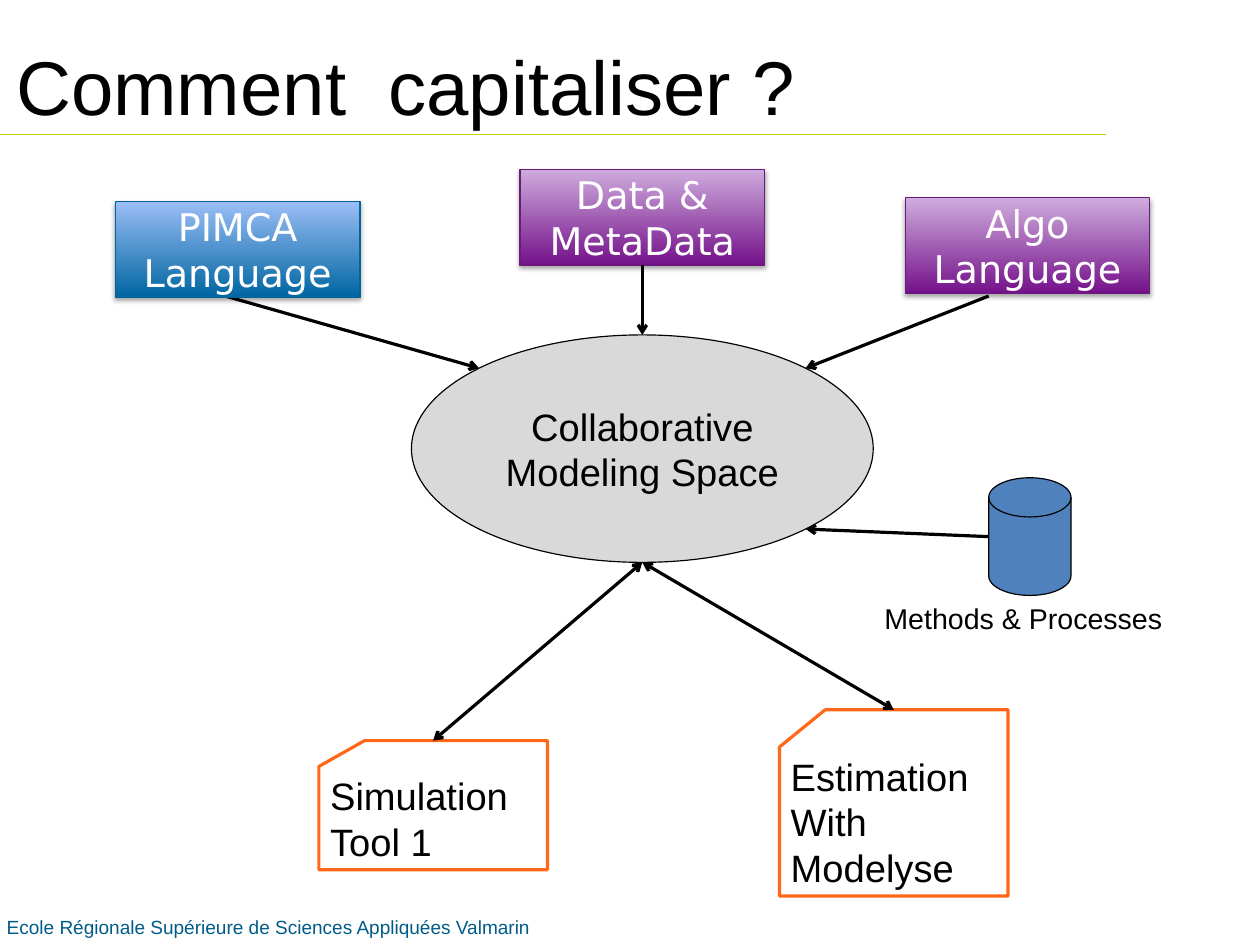
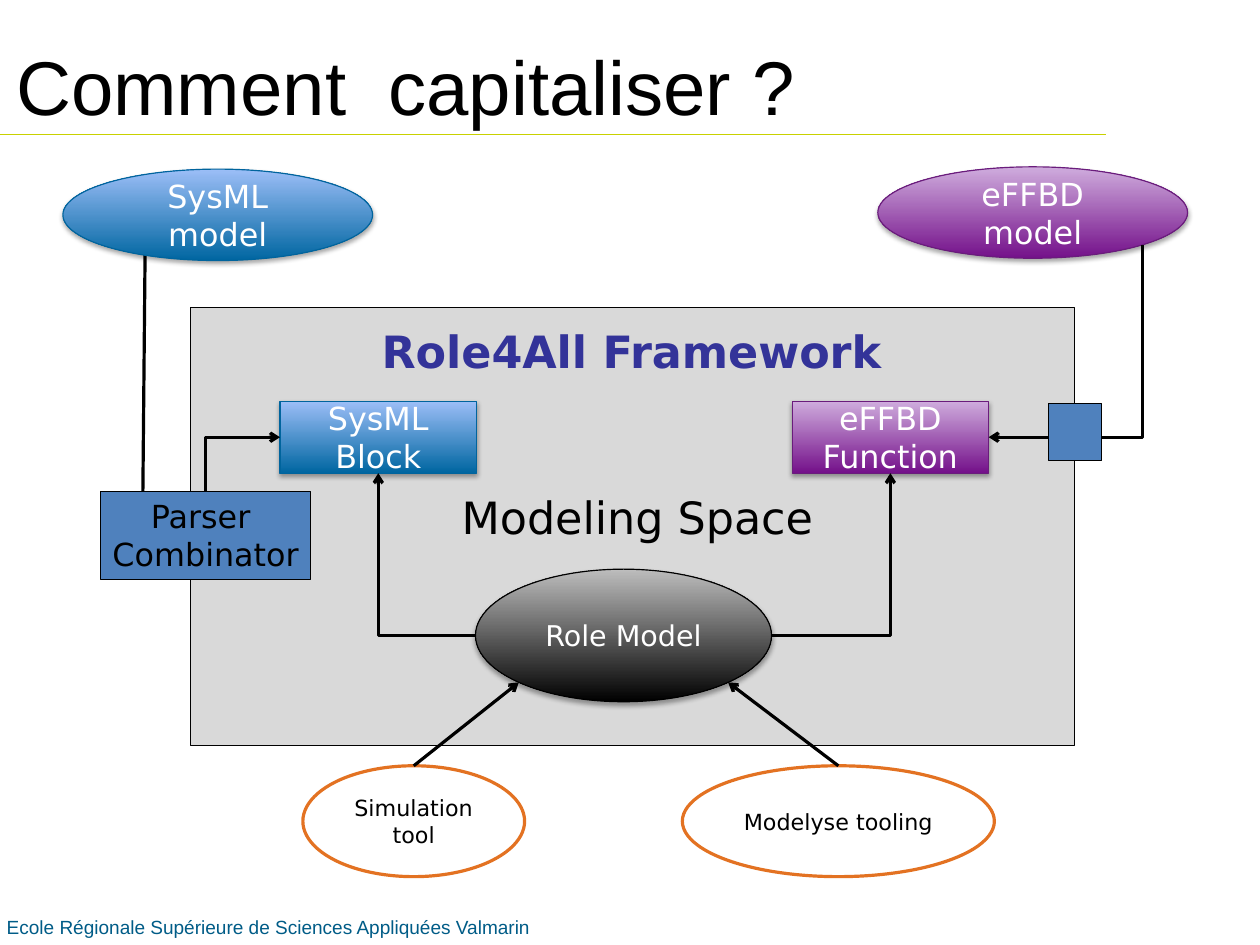
from lxml import etree
from pptx import Presentation
from pptx.dml.color import RGBColor
from pptx.enum.shapes import MSO_CONNECTOR, MSO_SHAPE
from pptx.enum.text import MSO_ANCHOR, MSO_AUTO_SIZE, PP_ALIGN
from pptx.oxml.ns import qn
from pptx.util import Cm, Emu, Pt

RECT, OVAL = MSO_SHAPE.RECTANGLE, MSO_SHAPE.OVAL
CARD, DISK = MSO_SHAPE.FLOWCHART_CARD, MSO_SHAPE.FLOWCHART_MAGNETIC_DISK
STRAIGHT, ELBOW = MSO_CONNECTOR.STRAIGHT, MSO_CONNECTOR.ELBOW
LEFT, CENTER = PP_ALIGN.LEFT, PP_ALIGN.CENTER
TOP, MIDDLE = MSO_ANCHOR.TOP, MSO_ANCHOR.MIDDLE
NO_RESIZE = MSO_AUTO_SIZE.NONE

PAGE_WIDTH, PAGE_HEIGHT = Cm(28), Cm(21)
PX = 9144  # 100 px to the inch
ARIAL, DEJAVU = "Arial", "DejaVu Sans"
BLACK, WHITE = "000000", "FFFFFF"

# Shared content
TITLE = "Comment  capitaliser ?"
TITLE_BOX = (4, 5, 992, 138)
FOOTER = "Ecole Régionale Supérieure de Sciences Appliquées Valmarin"
FOOTER_BOX = (-4, 796, 1102, 34)
RULE = ((0, 118), (968, 118), "C8D100")

# Looks: fill (None, one colour, or bottom and top colours), line, line width
LOOKS = {
    "blue": (("0066A1", "9CBEF7"), "00649D", 0.75),
    "purple": (("74118A", "CFACDD"), "6A1C7C", 0.75),
    "black": ((BLACK, "BDBDBD"), BLACK, 0.75),
    "grey": ("D9D9D9", BLACK, 0.75),
    "steel": ("4F81BD", BLACK, 0.75),
    "card": (None, "FF6819", 2),
    "tool": (WHITE, "E37222", 2),
}

# Connection sites as fractions of width and height, in preset order
DIAG = 0.1464
RECT_SITES = [(0.5, 0), (0, 0.5), (0.5, 1), (1, 0.5)]
SITES = {
    RECT: RECT_SITES,
    CARD: RECT_SITES,
    OVAL: [(0.5, 0), (DIAG, DIAG), (0, 0.5), (DIAG, 1 - DIAG),
           (0.5, 1), (1 - DIAG, 1 - DIAG), (1, 0.5), (1 - DIAG, DIAG)],
    DISK: [(0.5, 0.33), (0.5, 0), (0, 0.5), (0.5, 1), (1, 0.5)],
}

# Parts: name, shape, box, look, lines, text format
# Labels: text, box, text format
# Links: connector, start, end, arrowheads; an end is (part, site) or (x, y)
BIG_LABEL = dict(size=24, font=DEJAVU, color=WHITE)
MODEL_LABEL = dict(size=20, font=DEJAVU, color=WHITE)
TOOL_LABEL = dict(size=14, font=DEJAVU)
CARD_LABEL = dict(size=24, align=LEFT)

SLIDES = [
    {
        "parts": [
            ("methods", DISK, (865, 418, 72, 103), "steel", [], {}),
            ("simulation", CARD, (279, 648, 200, 113), "card",
             ["Simulation", "Tool 1"], CARD_LABEL),
            ("estimation", CARD, (682, 621, 200, 163), "card",
             ["Estimation", "With Modelyse"], CARD_LABEL),
            ("space", OVAL, (360, 293, 404, 199), "grey",
             ["Collaborative", "Modeling Space"], dict(size=24)),
            ("data", RECT, (455, 148, 214, 84), "purple",
             ["Data &", "MetaData"], BIG_LABEL),
        ],
        "labels": [("Methods & Processes", (764, 521, 300, 49), dict(size=18))],
        "links": [
            (STRAIGHT, (197, 259), ("space", 1), "end"),
            (STRAIGHT, (865, 259), ("space", 7), "end"),
            (STRAIGHT, ("methods", 2), ("space", 5), "end"),
            (STRAIGHT, ("simulation", 0), ("space", 4), "both"),
            (STRAIGHT, ("estimation", 0), ("space", 4), "both"),
            (STRAIGHT, ("data", 2), ("space", 0), "end"),
        ],
        "front": [
            ("pimca", RECT, (101, 176, 214, 84), "blue",
             ["PIMCA", "Language"], BIG_LABEL),
            ("algo", RECT, (792, 173, 214, 84), "purple",
             ["Algo", "Language"], BIG_LABEL),
        ],
    },
    {
        "parts": [
            ("framework", RECT, (167, 269, 773, 383), "grey", [], {}),
            ("block", RECT, (245, 351, 172, 63), "blue",
             ["SysML Block"], MODEL_LABEL),
            ("function", RECT, (693, 351, 172, 63), "purple",
             ["eFFBD Function"], MODEL_LABEL),
            ("simulation", OVAL, (265, 670, 194, 97), "tool",
             ["Simulation tool"], TOOL_LABEL),
            ("tooling", OVAL, (597, 670, 273, 97), "tool",
             ["Modelyse tooling"], TOOL_LABEL),
            ("role", OVAL, (416, 498, 259, 116), "black",
             ["Role Model"], dict(size=18, font=DEJAVU, color=WHITE)),
            ("effbd", OVAL, (768, 146, 271, 80), "purple",
             ["eFFBD model"], MODEL_LABEL),
            ("parser", RECT, (88, 430, 184, 77), "steel",
             ["Parser ", "Combinator"],
             dict(size=20, font=DEJAVU, anchor=TOP, wrap=False)),
        ],
        "labels": [
            ("Modeling Space", (394, 424, 329, 57), dict(size=28, font=DEJAVU)),
            ("Role4All Framework", (324, 279, 467, 57),
             dict(size=28, font=DEJAVU, color="333399", bold=True)),
        ],
        "links": [
            (STRAIGHT, ("simulation", 0), ("role", 3), "end"),
            (STRAIGHT, ("tooling", 0), ("role", 5), "end"),
            (ELBOW, ("role", 2), ("block", 2), "end"),
            (ELBOW, ("role", 6), ("function", 2), "end"),
            (ELBOW, ("function", 3), ("effbd", 5), "start"),
            (ELBOW, ("block", 1), ("parser", 0), "start"),
            (STRAIGHT, (127, 217), (125, 430), "none"),
        ],
        "front": [
            ("adapter", RECT, (917, 353, 47, 50), "steel", [], {}),
            ("sysml", OVAL, (55, 148, 271, 80), "blue",
             ["SysML model"], MODEL_LABEL),
        ],
    },
]


def px(*lengths):
    return [Emu(round(length * PX)) for length in lengths]


def rgb(value):
    return RGBColor.from_string(value)


def write(box, lines, size, font=ARIAL, color=BLACK, bold=False,
          align=CENTER, anchor=MIDDLE, wrap=True):
    frame = box.text_frame
    frame.auto_size = NO_RESIZE
    frame.word_wrap = wrap
    frame.vertical_anchor = anchor
    frame.text = "\n".join(lines)
    for para in frame.paragraphs:
        para.alignment = align
        para.font.name = font
        para.font.size = Pt(size)
        para.font.bold = bold
        para.font.color.rgb = rgb(color)


def add_shadow(shape):
    effects = shape._element.spPr.find(qn("a:effectLst"))
    shadow = etree.SubElement(effects, qn("a:outerShdw"), blurRad=str(Pt(3.1)),
                              dist=str(Pt(1.8)), dir="5400000", rotWithShape="0")
    color = etree.SubElement(shadow, qn("a:srgbClr"), val=BLACK)
    etree.SubElement(color, qn("a:alpha"), val="35000")


def add_part(page, kind, box, look, lines, style):
    fill, line, width = LOOKS[look]
    shape = page.shapes.add_shape(kind, *px(*box))
    shape.shadow.inherit = False
    shape.line.color.rgb = rgb(line)
    shape.line.width = Pt(width)
    if fill is None:
        shape.fill.background()
    elif isinstance(fill, str):
        shape.fill.solid()
        shape.fill.fore_color.rgb = rgb(fill)
    else:
        shape.fill.gradient()
        shape.fill.gradient_angle = 90
        for stop, color in zip(shape.fill.gradient_stops, fill):
            stop.color.rgb = rgb(color)
        add_shadow(shape)
    if lines:
        write(shape, lines, **style)
    return shape


def add_label(page, text, box, style):
    label = page.shapes.add_textbox(*px(*box))
    write(label, [text], **{"align": LEFT, "anchor": TOP, "wrap": False, **style})
    return label


def add_line(page, kind, start, end, color=BLACK, width=2, arrows="none"):
    line = page.shapes.add_connector(kind, *px(*start, *end))
    line.line.color.rgb = rgb(color)
    line.line.width = Pt(width)
    properties = line._element.spPr
    if kind == ELBOW:  # one bend: across first, then up or down
        properties.find(qn("a:prstGeom")).set("prst", "bentConnector2")
    outline = properties.find(qn("a:ln"))
    for side, tag in (("start", "a:headEnd"), ("end", "a:tailEnd")):
        if arrows in (side, "both"):
            etree.SubElement(outline, qn(tag), type="arrow")
    etree.SubElement(properties, qn("a:effectLst"))
    return line


def add_link(page, placed, kind, start, end, arrows):
    points, glue = [], []
    for tag, place in (("a:stCxn", start), ("a:endCxn", end)):
        if place[0] in placed:
            name, site = place
            shape, shape_kind, (left, top, width, height) = placed[name]
            across, down = SITES[shape_kind][site]
            place = (left + across * width, top + down * height)
            glue.append((tag, shape.shape_id, site))
        points.append(place)
    line = add_line(page, kind, *points, arrows=arrows)
    for tag, shape_id, site in glue:
        etree.SubElement(line._element.nvCxnSpPr.cNvCxnSpPr, qn(tag),
                         id=str(shape_id), idx=str(site))


def place_title(layout):
    title = layout.placeholders[0]
    title.left, title.top, title.width, title.height = px(*TITLE_BOX)
    for placeholder in list(layout.placeholders)[1:]:
        placeholder._element.getparent().remove(placeholder._element)


def add_shared_band(page, layout):
    """Build the rule and footer, then move them to the layout."""
    start, end, color = RULE
    rule = add_line(page, STRAIGHT, start, end, color, 0.75)
    footer = add_label(page, FOOTER, FOOTER_BOX,
                       dict(size=12, color="005C87", wrap=True))
    for shape in (rule, footer):
        layout.shapes._spTree.append(shape._element)


def build_page(page, content):
    write(page.shapes.title, [TITLE], size=48, align=LEFT)
    placed = {}
    for name, kind, box, *rest in content["parts"]:
        placed[name] = (add_part(page, kind, box, *rest), kind, box)
    for label in content["labels"]:
        add_label(page, *label)
    for link in content["links"]:
        add_link(page, placed, *link)
    for _, *part in content["front"]:
        add_part(page, *part)


def main():
    deck = Presentation()
    deck.slide_width, deck.slide_height = PAGE_WIDTH, PAGE_HEIGHT
    layout = deck.slide_layouts[5]
    place_title(layout)
    pages = [deck.slides.add_slide(layout) for _ in SLIDES]
    add_shared_band(pages[0], layout)
    for page, content in zip(pages, SLIDES):
        build_page(page, content)
    deck.save("out.pptx")


if __name__ == "__main__":
    main()
